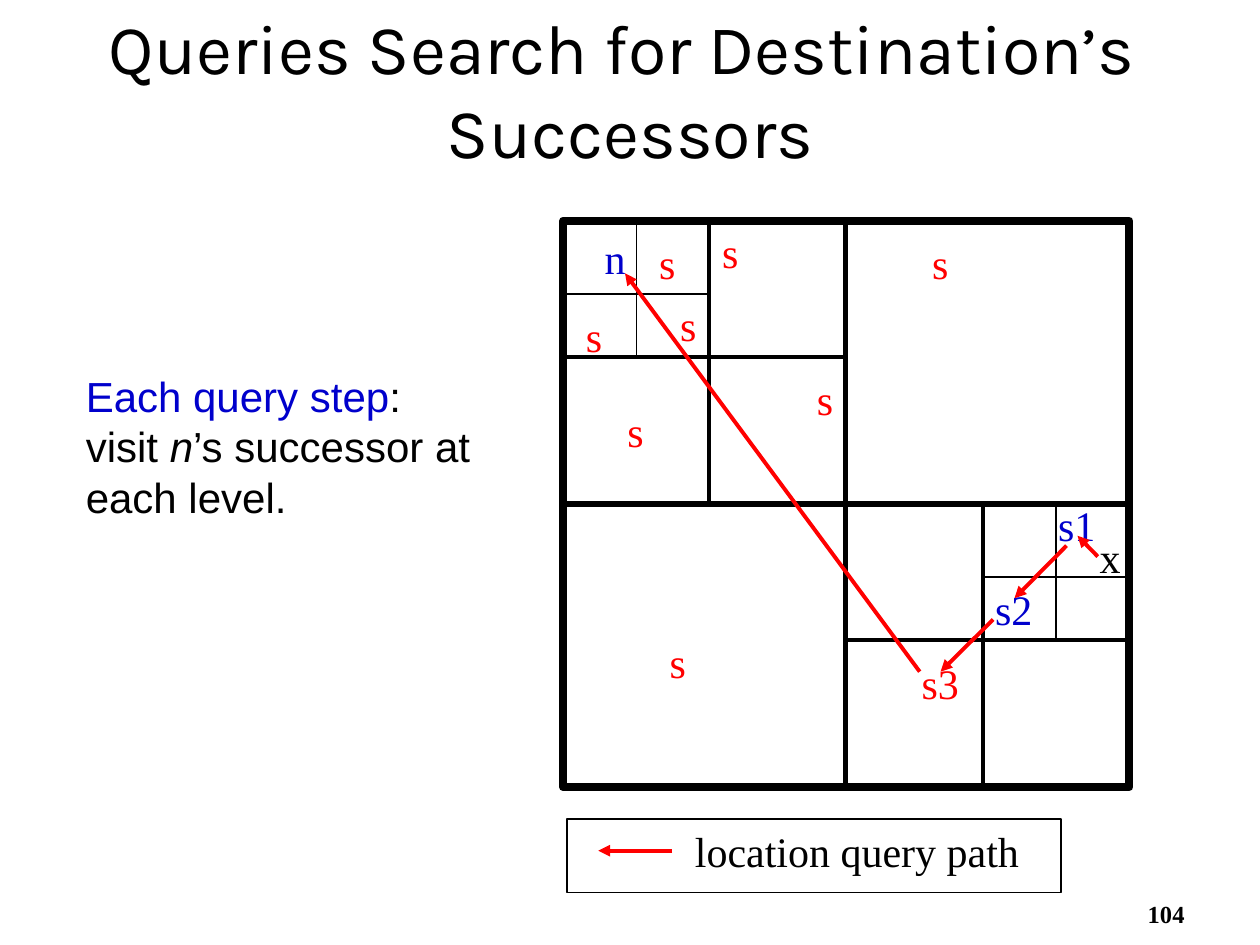
"""Build a slide showing how location queries visit a node's successors in a grid."""
from dataclasses import dataclass

from lxml import etree
from pptx import Presentation
from pptx import util as u
from pptx.dml.color import RGBColor
from pptx.enum import shapes, text
from pptx.oxml import ns


@dataclass(frozen=True)
class Theme:
    black: str = "000000"
    blue: str = "0000CC"
    red: str = "FF0000"
    title_font: str = "Karla"
    body_font: str = "Arial"
    label_font: str = "Times New Roman"
    title_size: int = 40
    body_size: int = 24
    number_size: int = 14
    arrow_width: float = 2.25


theme = Theme()

TITLE_LINES = ("Queries Search for Destination’s ", "Successors")
EXPLANATION = (
    (("Each query step", theme.blue, False), (":", theme.black, False)),
    (("visit ", theme.black, False), ("n", theme.black, True),
     ("’s successor at each level.", theme.black, False)),
)

GRID_X = (11.35, 12.83, 14.3, 17.04, 19.81, 21.29, 22.77)
GRID_Y = (4.45, 5.92, 7.19, 10.16, 11.63, 12.9, 15.87)
SPLITS = (
    {"columns": (0, 3, 6), "rows": (0, 3, 6), "width": 3},
    {"columns": (0, 2, 3), "rows": (0, 2, 3), "width": 2.25},
    {"columns": (3, 4, 6), "rows": (3, 5, 6), "width": 2.25},
    {"columns": (0, 1, 2), "rows": (0, 1, 2), "width": 1},
    {"columns": (4, 5, 6), "rows": (3, 4, 5), "width": 1},
)

LABEL_WIDTHS = {1: 0.92, 2: 1.4}
LABELS = (
    ("n", theme.blue, 11.94, 4.57),
    ("s", theme.red, 11.56, 6.14),
    ("s", theme.red, 13.04, 4.66),
    ("s", theme.red, 13.46, 5.92),
    ("s", theme.red, 12.4, 8.04),
    ("s", theme.red, 14.31, 4.45),
    ("s", theme.red, 16.22, 7.41),
    ("s", theme.red, 18.54, 4.66),
    ("s", theme.red, 13.25, 12.7),
    ("s3", theme.red, 18.33, 13.12),
    ("x", theme.black, 21.92, 10.58),
    ("s2", theme.blue, 19.81, 11.64),
    ("s1", theme.blue, 21.08, 9.95),
)
QUERY_PATH = (
    (22.13, 11.22, 21.72, 10.8),
    (21.5, 11, 20.45, 12.06),
    (20.02, 12.49, 18.96, 13.54),
    (18.54, 13.54, 12.6, 5.51),
)
LEGEND_ARROW = (13.55, 17.15, 12.06, 17.15)


def add_run(paragraph, words, font, size, colour, bold=False, italic=False):
    run = paragraph.add_run()
    run.text = words
    run.font.name = font
    run.font.size = u.Pt(size)
    run.font.bold = bold
    run.font.italic = italic
    run.font.color.rgb = RGBColor.from_string(colour)


def add_box(slide, left, top, width, height, wrap=False):
    box = slide.shapes.add_textbox(u.Cm(left), u.Cm(top), u.Cm(width), u.Cm(height))
    box.text_frame.word_wrap = wrap
    return box.text_frame


def add_label(slide, words, colour, left, top, width):
    paragraph = add_box(slide, left, top, width, 1.27).paragraphs[0]
    add_run(paragraph, words, theme.label_font, theme.body_size, colour)


def add_line(slide, ends, width, colour, arrow=False):
    line = slide.shapes.add_connector(
        shapes.MSO_CONNECTOR.STRAIGHT, *(u.Cm(value) for value in ends))
    line.line.width = u.Pt(width)
    line.line.color.rgb = RGBColor.from_string(colour)
    properties = line.line._get_or_add_ln()
    if arrow:
        etree.SubElement(properties, ns.qn("a:tailEnd"), type="triangle")
    etree.SubElement(properties.getparent(), ns.qn("a:effectLst"))


def add_frame(slide, left, top, width, height, line_width):
    frame = slide.shapes.add_shape(
        shapes.MSO_SHAPE.RECTANGLE, u.Cm(left), u.Cm(top), u.Cm(width), u.Cm(height))
    frame.shadow.inherit = False
    frame.fill.background()
    frame.line.color.rgb = RGBColor.from_string(theme.black)
    frame.line.width = u.Pt(line_width)


def add_title(slide):
    title = slide.shapes.title
    title.left, title.top = u.Cm(0), u.Cm(0.42)
    title.width, title.height = u.Cm(25.4), u.Cm(3.18)
    frame = title.text_frame
    frame.word_wrap = True
    frame.auto_size = text.MSO_AUTO_SIZE.NONE
    frame.vertical_anchor = text.MSO_ANCHOR.BOTTOM
    paragraph = frame.paragraphs[0]
    paragraph.alignment = text.PP_ALIGN.CENTER
    for index, words in enumerate(TITLE_LINES):
        if index:
            paragraph.add_line_break()
        add_run(paragraph, words, theme.title_font, theme.title_size, theme.black)


def add_explanation(slide):
    frame = add_box(slide, 1.48, 7.34, 9.1, 3.3, wrap=True)
    for index, runs in enumerate(EXPLANATION):
        paragraph = frame.add_paragraph() if index else frame.paragraphs[0]
        for words, colour, italic in runs:
            add_run(paragraph, words, theme.body_font, theme.body_size, colour, italic=italic)


def add_grid(slide):
    add_frame(slide, GRID_X[0], GRID_Y[0], GRID_X[-1] - GRID_X[0], GRID_Y[-1] - GRID_Y[0], 4.5)
    for split in SPLITS:
        left, centre, right = (GRID_X[index] for index in split["columns"])
        top, middle, bottom = (GRID_Y[index] for index in split["rows"])
        add_line(slide, (centre, top, centre, bottom), split["width"], theme.black)
        add_line(slide, (left, middle, right, middle), split["width"], theme.black)
    for words, colour, left, top in LABELS:
        add_label(slide, words, colour, left, top, LABEL_WIDTHS[len(words)])
    for ends in QUERY_PATH:
        add_line(slide, ends, theme.arrow_width, theme.red, arrow=True)


def add_legend(slide):
    add_line(slide, LEGEND_ARROW, theme.arrow_width, theme.red, arrow=True)
    add_label(slide, "location query path", theme.black, 13.76, 16.51, 7.1)
    add_frame(slide, 11.43, 16.51, 9.96, 1.48, 0.75)


def add_number(slide):
    frame = add_box(slide, 18.85, 17.58, 5.28, 1.27, wrap=True)
    frame.vertical_anchor = text.MSO_ANCHOR.BOTTOM
    paragraph = frame.paragraphs[0]
    paragraph.alignment = text.PP_ALIGN.RIGHT
    add_run(paragraph, "104", theme.label_font, theme.number_size, theme.black, bold=True)


def main():
    presentation = Presentation()
    presentation.slide_width, presentation.slide_height = u.Cm(25.4), u.Cm(19.05)
    slide = presentation.slides.add_slide(presentation.slide_layouts[5])
    add_title(slide)
    add_explanation(slide)
    add_grid(slide)
    add_legend(slide)
    add_number(slide)
    presentation.save("out.pptx")


if __name__ == "__main__":
    main()
